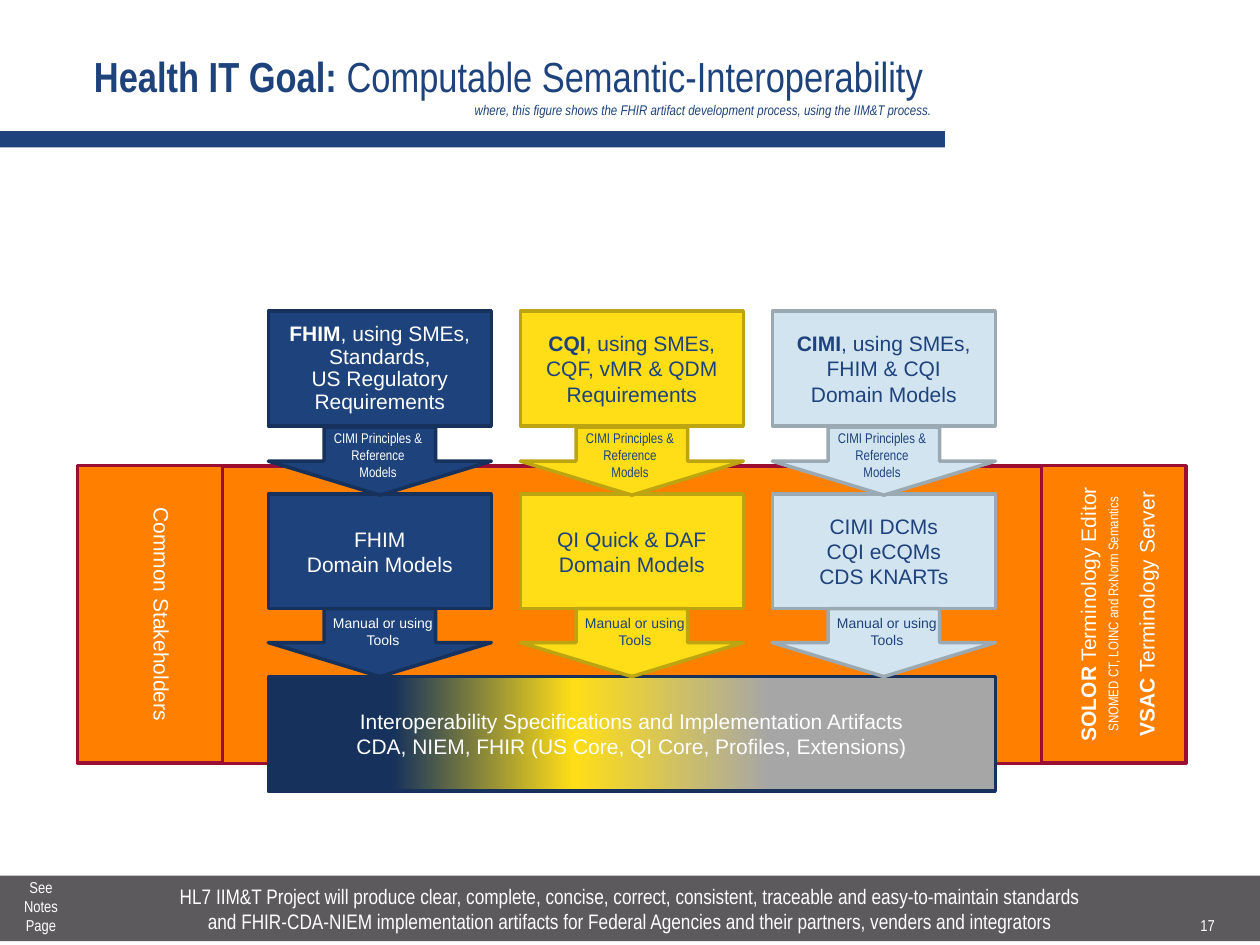
import copy
import pptx
import pptx.util
import pptx.dml.color
import pptx.enum.shapes
import pptx.enum.text
import pptx.oxml.ns

Inches, Pt = pptx.util.Inches, pptx.util.Pt
RGBColor = pptx.dml.color.RGBColor
MSO = pptx.enum.shapes.MSO_SHAPE
ALIGN = pptx.enum.text.PP_ALIGN
ANCHOR = pptx.enum.text.MSO_ANCHOR

NAVY = RGBColor(0x1D, 0x42, 0x7C)
DARK = RGBColor(0x15, 0x31, 0x5C)
YELLOW = RGBColor(0xFF, 0xDE, 0x17)
OLIVE = RGBColor(0xBD, 0xA4, 0x11)
PALE = RGBColor(0xD2, 0xE4, 0xF0)
STEEL = RGBColor(0x9B, 0xA9, 0xB2)
ORANGE = RGBColor(0xFF, 0x80, 0x00)
RED = RGBColor(0x9B, 0x0D, 0x31)
SILVER = RGBColor(0xA6, 0xA6, 0xA6)
GRAY = RGBColor(0x5D, 0x5A, 0x5D)
WHITE = RGBColor(0xFF, 0xFF, 0xFF)

deck = pptx.Presentation()
deck.slide_width, deck.slide_height = Inches(10), Inches(7.5)
slide = deck.slides.add_slide(deck.slide_layouts[5])


def draw(kind, x, y, w, h, fill=None, line=None):
    """Add a preset shape, or a text box when kind is None."""
    place = [Inches(v) for v in (x, y, w, h)]
    if kind is None:
        return slide.shapes.add_textbox(*place)
    shape = slide.shapes.add_shape(kind, *place)
    shape.shadow.inherit = False
    shape.fill.solid()
    shape.fill.fore_color.rgb = fill
    if line is None:
        shape.line.fill.background()
    else:
        shape.line.color.rgb = line
        shape.line.width = Pt(2)
    return shape


def write(shape, lines, size=12, color=WHITE, font="Arial", space=1.0):
    """Fill a shape with centred lines; words before a "|" become bold."""
    frame = shape.text_frame
    frame.word_wrap = True
    frame.text = "\n".join(line.split("|")[0] for line in lines)
    for para, line in zip(frame.paragraphs, lines):
        para.alignment = ALIGN.CENTER
        para.line_spacing = space
        if "|" in line:
            para.runs[0].font.bold = True
            para.add_run().text = line.split("|")[1]
        for run in para.runs:
            run.font.size = Pt(size)
            run.font.name = font
            run.font.color.rgb = color


# Title and its rule
draw(MSO.RECTANGLE, 0, 1.04, 7.5, 0.13, NAVY)
title = slide.shapes.title
title.left, title.top = Inches(0.5), Inches(0.3)
title.width, title.height = Inches(7), Inches(0.74)
frame = title.text_frame
frame.auto_size = pptx.enum.text.MSO_AUTO_SIZE.NONE
frame.vertical_anchor = ANCHOR.MIDDLE
frame.text = "Health IT Goal: "
para = frame.paragraphs[0]
para.alignment = ALIGN.RIGHT
para.add_run().text = "Computable Semantic-Interoperability "
para.add_line_break()
para.add_run().text = ("where, this figure shows the FHIR artifact development "
                       "process, using the IIM&T process.")
for run, size in zip(para.runs, (24, 24, 8)):
    run.font.size = Pt(size)
    run.font.name = "Arial Narrow"
    run.font.color.rgb = NAVY
para.runs[0].font.bold = True
para.runs[2].font.italic = True

# Shared band with a turned panel at each end
draw(MSO.RECTANGLE, 0.68, 3.7, 7.9, 2.36, ORANGE, RED)
terms = draw(MSO.RECTANGLE, 7.66, 4.3, 2.36, 1.15, ORANGE, RED)
terms.rotation = 270
write(terms, ["SOLOR| Terminology Editor",
              "SNOMED CT, LOINC and RxNorm Semantics",
              "VSAC| Terminology Server"], space=1.25)
_, codes, server = terms.text_frame.paragraphs
codes.runs[0].font.size = Pt(8)
codes.runs[0].font.name = "Arial Narrow"
server.line_spacing = 1.5

people = draw(MSO.RECTANGLE, 0.01, 4.3, 2.36, 1.15, ORANGE, RED)
people.rotation = 90
write(people, ["Common Stakeholders"])
people.text_frame.margin_bottom = Inches(0.24)

# Combined result
result = draw(MSO.RECTANGLE, 2.13, 5.37, 5.77, 0.91, NAVY, DARK)
result.fill.gradient()
result.fill.gradient_angle = 180
stops = result._element.spPr.find(".//" + pptx.oxml.ns.qn("a:gsLst"))
stops.append(copy.deepcopy(stops[0]))
blend = [(0.31, SILVER), (0.58, YELLOW), (0.83, DARK)]
for stop, (spot, color) in zip(result.fill.gradient_stops, blend):
    stop.position = spot
    stop.color.rgb = color
write(result, ["Interoperability Specifications and Implementation Artifacts",
               "CDA, NIEM, FHIR (US Core, QI Core, Profiles, Extensions)"])

# Three streams: needs, arrow, models, arrow
streams = [
    (NAVY, DARK, WHITE, 0.9,
     ["FHIM|, using SMEs,", "Standards,", "US Regulatory Requirements"],
     ["FHIM", "Domain Models"]),
    (YELLOW, OLIVE, NAVY, 1.0,
     ["CQI|, using SMEs,", "CQF, vMR & QDM", "Requirements"],
     ["QI Quick & DAF", "Domain Models"]),
    (PALE, STEEL, NAVY, 1.0,
     ["CIMI|, using SMEs,", "FHIM & CQI", "Domain Models"],
     ["CIMI DCMs", "CQI eCQMs", "CDS KNARTs"]),
]
for i, (fill, line, ink, space, needs, models) in enumerate(streams):
    x = 2.13 + 2 * i
    write(draw(MSO.RECTANGLE, x, 2.47, 1.77, 0.91, fill, line),
          needs, color=ink, space=space)
    write(draw(MSO.RECTANGLE, x, 3.92, 1.77, 0.91, fill, line),
          models, color=ink)
    for y in (3.39, 4.83):
        draw(MSO.DOWN_ARROW, x, y, 1.77, 0.54, fill, line)
    write(draw(None, x + 0.41, 3.36, 0.92, 0.5),
          ["CIMI Principles & Reference Models"], 8, ink, "Arial Narrow")
    write(draw(None, x + 0.41, 4.83, 1, 0.37),
          ["Manual or using Tools"], 8, ink)

# Footer
foot = draw(MSO.RECTANGLE, 0, 6.95, 10, 0.52, GRAY)
write(foot, ["HL7 IIM&T Project will produce clear, complete, concise, correct, "
             "consistent, traceable and easy-to-maintain standards",
             "and FHIR-CDA-NIEM implementation artifacts for Federal Agencies "
             "and their partners, venders and integrators"],
      font="Arial Narrow")
foot.text_frame.margin_top = foot.text_frame.margin_bottom = Inches(0.06)
number = draw(None, 9.17, 7.17, 0.83, 0.35)
write(number, ["17"], 9, font="Arial Narrow")
number.text_frame.vertical_anchor = ANCHOR.MIDDLE
write(draw(None, 0.03, 6.92, 0.59, 0.56), ["See", "Notes", "Page"], 9,
      font="Arial Narrow")

deck.save("out.pptx")
